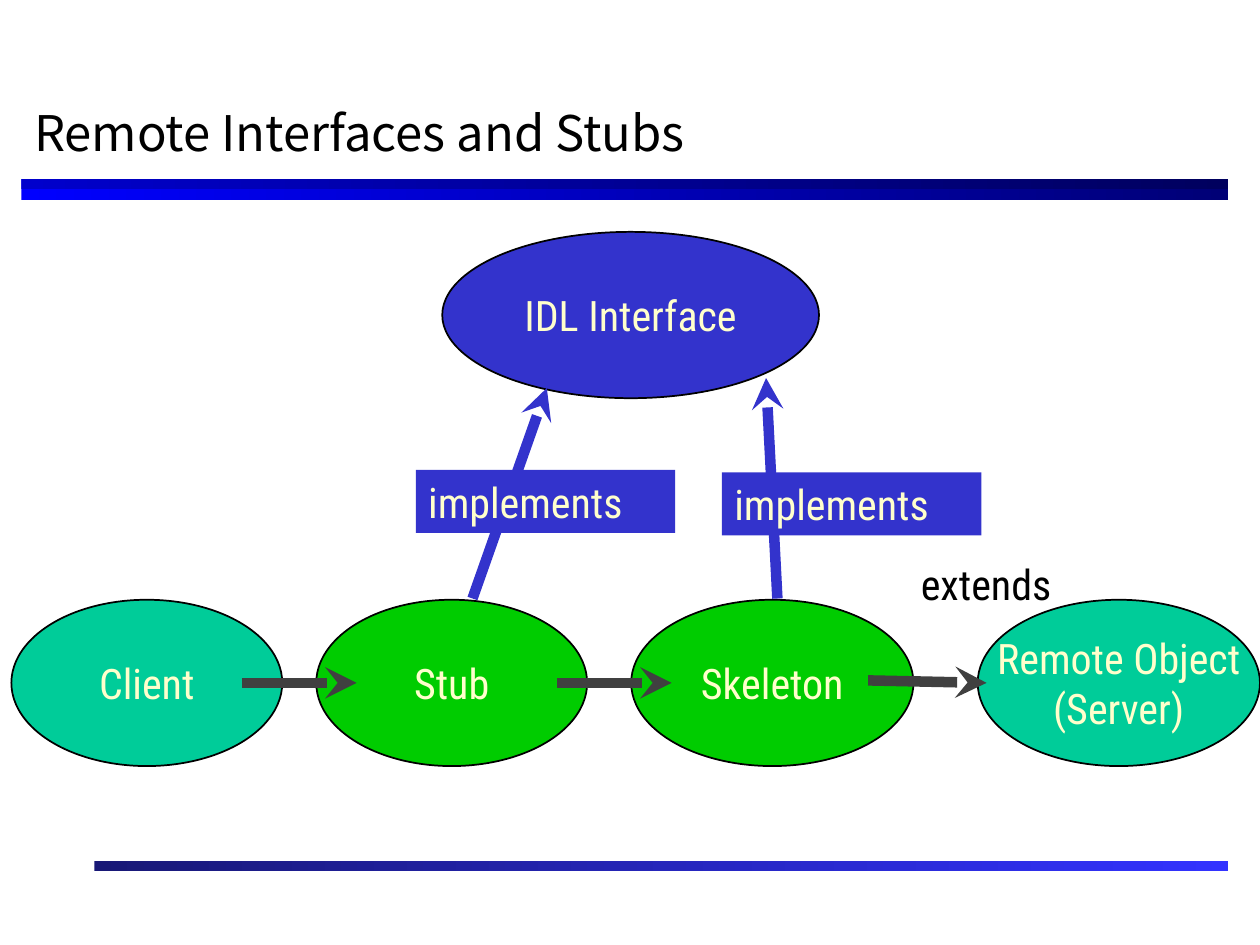
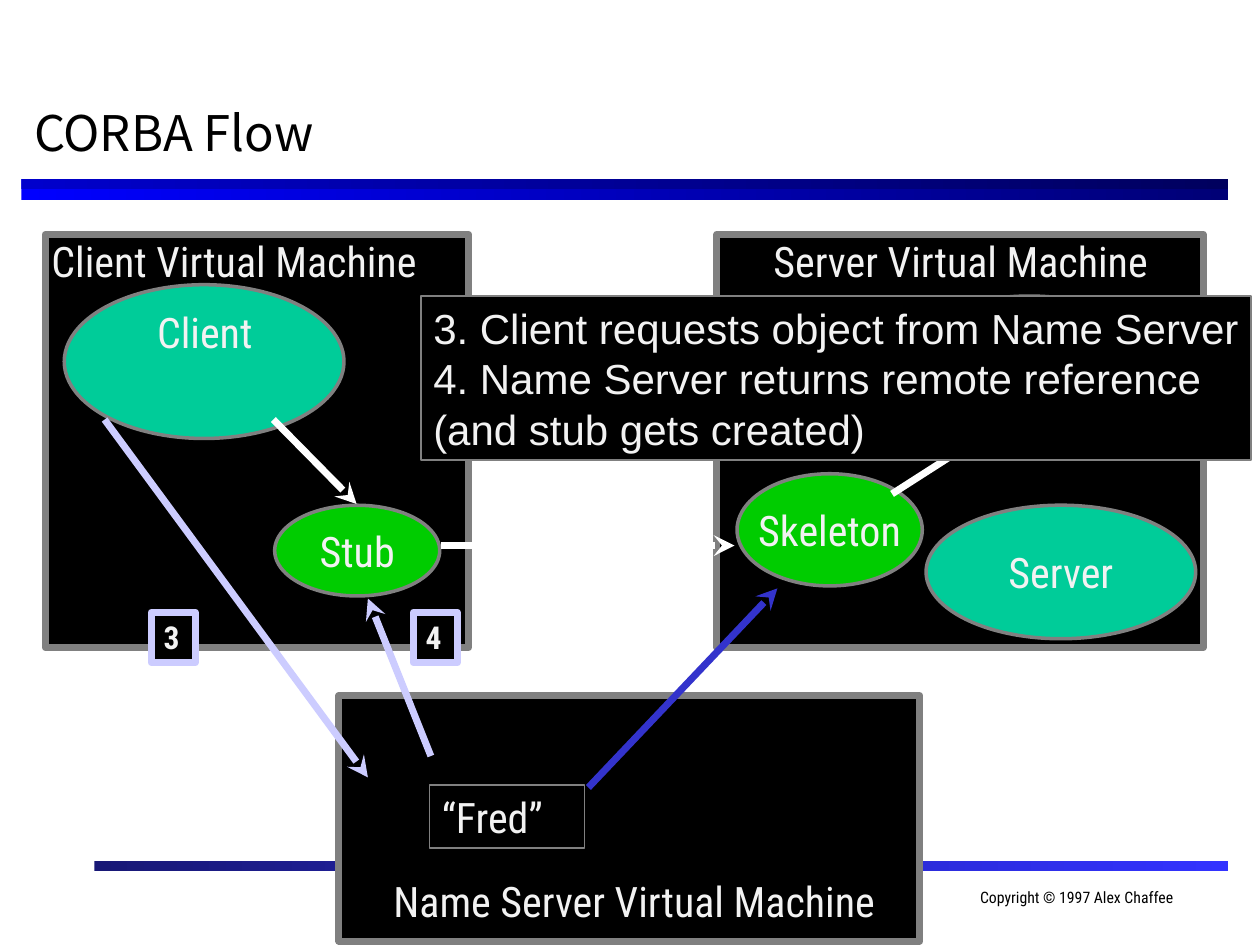
import pptx
import pptx.util
import pptx.dml.color
import pptx.enum.shapes
import pptx.enum.text
import pptx.oxml.ns
from lxml import etree

Inches = pptx.util.Inches
Pt = pptx.util.Pt
color = pptx.dml.color.RGBColor.from_string
RECTANGLE = pptx.enum.shapes.MSO_SHAPE.RECTANGLE
ELLIPSE = pptx.enum.shapes.MSO_SHAPE.OVAL
LEFT = pptx.enum.text.PP_ALIGN.LEFT
CENTER = pptx.enum.text.PP_ALIGN.CENTER
MIDDLE = pptx.enum.text.MSO_ANCHOR.MIDDLE
TOP = pptx.enum.text.MSO_ANCHOR.TOP
FIT = pptx.enum.text.MSO_AUTO_SIZE.SHAPE_TO_FIT_TEXT
FIXED = pptx.enum.text.MSO_AUTO_SIZE.NONE

BLACK, WHITE, GRAY, DARK_GRAY = "000000", "FFFFFF", "808080", "404040"
BLUE, LAVENDER, GREEN, TEAL = "3333CC", "CCCCFF", "00CC00", "00CC99"
CREAM, PALE = "FFFFCC", "F2F2F2"
TITLE_FONT, BODY_FONT = "Noto Sans CJK KR", "Roboto Condensed"

# left, top, width, height, start colour, end colour
BANDS = [
    (0.17, 1.42, 9.58, 0.17, "0000FF", "000076"),
    (0.75, 6.83, 9, 0.08, "181876", "3333FF"),
    (0.17, 1.42, 9.58, 0.08, "0000CC", "00005E"),
]


def add_box(slide, kind, place, lines=(), fill=None, outline=None, weight=1,
            ink=PALE, size=24, font=BODY_FONT, bold=False, align=LEFT,
            wrap=False, fit=FIT):
    """Add a preset shape, or a text box when kind is None; ellipses centre their text."""
    place = [Inches(length) for length in place]
    if kind is None:
        box = slide.shapes.add_textbox(*place)
    else:
        box = slide.shapes.add_shape(kind, *place)
        box.shadow.inherit = False
        if fill:
            box.fill.solid()
            box.fill.fore_color.rgb = color(fill)
        else:
            box.fill.background()
        if outline:
            box.line.color.rgb = color(outline)
            box.line.width = Pt(weight)
        else:
            box.line.fill.background()
    frame = box.text_frame
    frame.word_wrap = wrap
    if kind == ELLIPSE:
        align, fit = CENTER, FIXED
    frame.vertical_anchor = MIDDLE if kind == ELLIPSE else TOP
    frame.auto_size = fit if lines else FIXED
    for number, line in enumerate(lines):
        para = frame.add_paragraph() if number else frame.paragraphs[0]
        para.alignment = align
        span = para.add_run()
        span.text = line
        span.font.name = font
        span.font.size = Pt(size)
        span.font.bold = bold
        span.font.color.rgb = color(ink)
    return box


def add_arrow(slide, start, end, ink, weight):
    arrow = slide.shapes.add_connector(
        pptx.enum.shapes.MSO_CONNECTOR.STRAIGHT,
        *[Inches(length) for length in start + end])
    arrow.line.color.rgb = color(ink)
    arrow.line.width = Pt(weight)
    tip = etree.SubElement(arrow.line._get_or_add_ln(), pptx.oxml.ns.qn("a:tailEnd"))
    tip.set("type", "stealth")
    etree.SubElement(arrow._element.spPr, pptx.oxml.ns.qn("a:effectLst"))


deck = pptx.Presentation()
deck.slide_width = Inches(10)
deck.slide_height = Inches(7.5)

# Title and gradient bands shared by both slides
for heading in ["Remote Interfaces and Stubs", "CORBA Flow"]:
    page = deck.slides.add_slide(deck.slide_layouts[5])
    title = page.shapes.title
    title.left, title.top = Inches(0.17), Inches(0.67)
    title.width, title.height = Inches(9.58), Inches(0.75)
    title.text_frame.vertical_anchor = MIDDLE
    title.text_frame.auto_size = FIXED
    para = title.text_frame.paragraphs[0]
    para.alignment = LEFT
    span = para.add_run()
    span.text = heading
    span.font.name = TITLE_FONT
    span.font.size = Pt(28)
    span.font.color.rgb = color(BLACK)
    for *place, first, last in BANDS:
        band = add_box(page, RECTANGLE, place)
        band.fill.gradient()
        band.fill.gradient_angle = 0
        for stop, shade in zip(band.fill.gradient_stops, (first, last)):
            stop.color.rgb = color(shade)

stubs_page, flow_page = deck.slides

# Remote interfaces and stubs
add_box(stubs_page, ELLIPSE, (3.51, 1.84, 2.99, 1.32), ["IDL Interface"],
        BLUE, BLACK, ink=CREAM)
for left, width, fill, lines in [
    (0.09, 2.15, TEAL, ["Client"]),
    (2.51, 2.15, GREEN, ["Stub"]),
    (5.01, 2.24, GREEN, ["Skeleton"]),
    (7.76, 2.24, TEAL, ["Remote Object", "(Server)"]),
]:
    add_box(stubs_page, ELLIPSE, (left, 4.76, width, 1.32), lines, fill, BLACK, ink=CREAM)

for start, end, ink in [
    ((1.92, 5.42), (2.83, 5.42), DARK_GRAY),
    ((4.42, 5.42), (5.33, 5.42), DARK_GRAY),
    ((6.89, 5.4), (7.83, 5.42), DARK_GRAY),
    ((3.75, 4.75), (4.34, 3.08), BLUE),
    ((6.17, 4.75), (6.08, 3), BLUE),
]:
    add_arrow(stubs_page, start, end, ink, 6)

for left, top in [(3.3, 3.73), (5.73, 3.75)]:
    add_box(stubs_page, RECTANGLE, (left, top, 2.06, 0.5), ["implements"], BLUE, ink=CREAM)
add_box(stubs_page, None, (7.21, 4.38, 1.44, 0.5), ["extends"], ink=BLACK)

# CORBA flow: machines, then the objects inside them
for machine in [(0.36, 1.86, 3.36, 3.28), (5.69, 1.86, 3.86, 3.28), (2.69, 5.52, 4.61, 1.95)]:
    add_box(flow_page, RECTANGLE, machine, fill=BLACK, outline=GRAY, weight=4)

for place, fill, lines in [
    ((0.51, 2.26, 2.22, 1.22), TEAL, []),
    ((2.18, 4.01, 1.31, 0.72), GREEN, ["Stub"]),
    ((7.1, 2.35, 2.14, 1.06), TEAL, []),
    ((5.85, 3.76, 1.47, 0.89), GREEN, ["Skeleton"]),
    ((7.35, 4.01, 2.14, 1.06), TEAL, ["Server"]),
]:
    add_box(flow_page, ELLIPSE, place, lines, fill, GRAY, 2)

add_box(flow_page, None, (0.31, 1.82, 3.63, 0.5), ["Client Virtual Machine"])
for place, label in [
    ((0.75, 2.38, 1.75, 0.5), "Client"),
    ((5.75, 1.82, 3.75, 0.5), "Server Virtual Machine"),
    ((2.82, 6.9, 4.43, 0.5), "Name Server Virtual Machine"),
]:
    add_box(flow_page, None, place, [label], align=CENTER, wrap=True)
add_box(flow_page, RECTANGLE, (3.41, 6.23, 1.23, 0.5), ["“Fred”"], outline=GRAY)

for start, end, ink in [
    ((2.17, 3.33), (2.83, 4), WHITE),
    ((7.08, 3.92), (8, 3.33), WHITE),
    ((3.5, 4.33), (5.83, 4.33), WHITE),
    ((4.67, 6.25), (6.17, 4.67), BLUE),
    ((3.42, 6), (2.92, 4.75), LAVENDER),
    ((0.83, 3.33), (2.92, 6.17), LAVENDER),
]:
    add_arrow(flow_page, start, end, ink, 4)

for left, step in [(1.2, "3"), (3.28, "4")]:
    add_box(flow_page, RECTANGLE, (left, 4.86, 0.35, 0.4), [step], BLACK, LAVENDER, 4,
            size=18, bold=True)

add_box(flow_page, RECTANGLE, (3.34, 2.35, 6.59, 1.3),
        ["3. Client requests object from Name Server",
         "4. Name Server returns remote reference",
         "(and stub gets created)"],
        BLACK, GRAY, font="Arial")
add_box(flow_page, None, (7.68, 7, 2.32, 0.5), ["Copyright © 1997 Alex Chaffee"],
        ink=BLACK, size=9, wrap=True, fit=FIXED)

deck.save("out.pptx")
